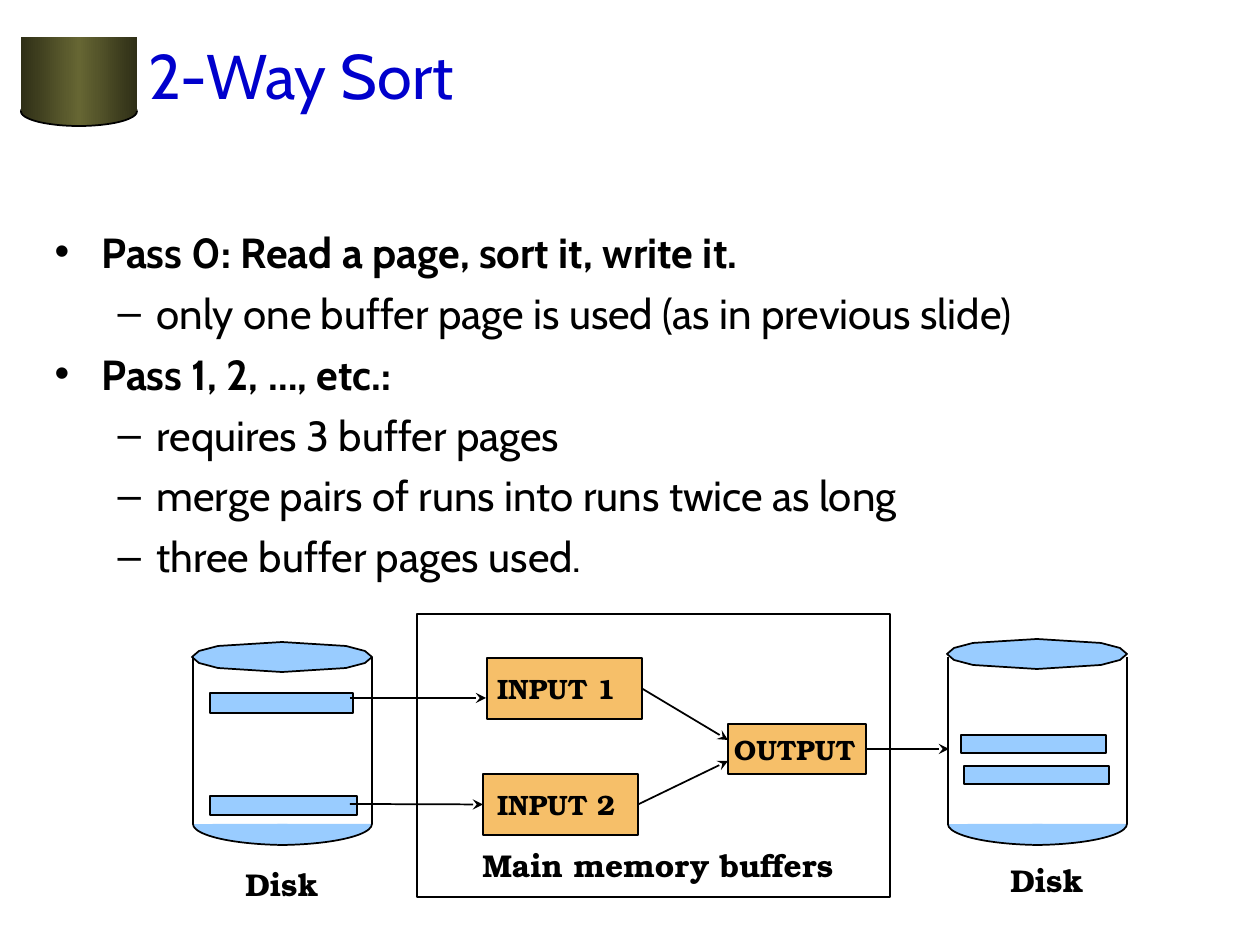
from copy import deepcopy
from dataclasses import dataclass

from pptx import Presentation
from pptx.dml.color import RGBColor
from pptx.enum.shapes import MSO_CONNECTOR, MSO_SHAPE
from pptx.enum.text import MSO_ANCHOR, MSO_AUTO_SIZE, PP_ALIGN
from pptx.oxml.ns import qn
from pptx.util import Emu, Pt

SCALE = 914400 / 126  # EMU per px


@dataclass(frozen=True)
class Theme:
    black = RGBColor(0x00, 0x00, 0x00)
    title = RGBColor(0x00, 0x00, 0xCC)
    disk = RGBColor(0x99, 0xCC, 0xFF)
    buffer = RGBColor(0xF6, 0xBF, 0x69)
    olive = RGBColor(0x66, 0x66, 0x33)
    dark_olive = RGBColor(0x2F, 0x2F, 0x17)
    line = Pt(1)
    title_font = dict(name="Cabin", size=Pt(36), bold=False)
    body_font = dict(name="Cabin", size=Pt(24))
    buffer_font = dict(name="TeX Gyre Bonum", size=Pt(16), bold=True)
    caption_font = dict(name="TeX Gyre Bonum", size=Pt(18), bold=True)


def px(*lengths):
    return [Emu(round(length * SCALE)) for length in lengths]


def outline(shape, fill=None):
    """Give a shape a thin black line and a solid fill, or none."""
    shape.shadow.inherit = False
    shape.line.color.rgb = theme.black
    shape.line.width = theme.line
    if fill is None:
        shape.fill.background()
    else:
        shape.fill.solid()
        shape.fill.fore_color.rgb = fill


theme = Theme()
prs = Presentation()
prs.slide_width, prs.slide_height = px(1260, 945)
slide = prs.slides.add_slide(prs.slide_layouts[1])
shapes = slide.shapes
title, body = slide.placeholders

# Corner drum
for preset, place in [(MSO_SHAPE.OVAL, (21, 97, 116, 29)),
                      (MSO_SHAPE.RECTANGLE, (21, 37, 116, 74))]:
    drum = shapes.add_shape(preset, *px(*place))
    outline(drum)
    drum.fill.gradient()
    drum.fill.gradient_angle = 0
    stop_list = drum._element.spPr.find(qn("a:gradFill")).find(qn("a:gsLst"))
    stop_list.append(deepcopy(stop_list[0]))
    shades = [(0, theme.dark_olive), (0.5, theme.olive), (1, theme.dark_olive)]
    for stop, (position, shade) in zip(drum.fill.gradient_stops, shades):
        stop.position = position
        stop.color.rgb = shade
drum.line.fill.background()

# Title and list
for holder, place, anchor in [(title, (136, 32, 1071, 84), MSO_ANCHOR.MIDDLE),
                              (body, (42, 220, 1207, 714), MSO_ANCHOR.TOP)]:
    holder.left, holder.top, holder.width, holder.height = px(*place)
    holder.text_frame.vertical_anchor = anchor
    holder.text_frame.auto_size = MSO_AUTO_SIZE.NONE

title.text_frame.text = "2-Way Sort"
heading = title.text_frame.paragraphs[0]
heading.alignment = PP_ALIGN.LEFT
heading.font.color.rgb = theme.title
for name, value in theme.title_font.items():
    setattr(heading.font, name, value)

steps = [
    (0, "Pass 0: Read a page, sort it, write it."),
    (1, "only one buffer page is used (as in previous slide)"),
    (0, "Pass 1, 2, …, etc.:"),
    (1, "requires 3 buffer pages"),
    (1, "merge pairs of runs into runs twice as long"),
    (1, "three buffer pages used."),
]
indents = [(47, -47), (102, -39)]
body.text_frame.text = "\n".join(words for _, words in steps)
for row, (item, (level, _)) in enumerate(zip(body.text_frame.paragraphs, steps)):
    item.level = level
    item.space_before = Pt(6 if row else 0)
    for name, value in zip(("marL", "indent"), px(*indents[level])):
        item._p.get_or_add_pPr().set(name, str(value))
    item.font.bold = level == 0
    item.font.color.rgb = theme.black
    for name, value in theme.body_font.items():
        setattr(item.font, name, value)

# Disks: rim, rounded base, stored pages
quarter = [(90, 0), (83, 6), (64, 11), (0, 15)]
half = quarter + [(-x, y) for x, y in quarter[-2::-1]]
rim = half + [(x, -y) for x, y in half[-2:0:-1]]
disks = [
    (282, 657, [(210, 693, 143, 20), (210, 796, 147, 19)]),
    (1037, 654, [(961, 735, 145, 18), (964, 766, 145, 18)]),
]
lines = []
for center, rim_y, pages in disks:
    points = [(center + x, rim_y + y) for x, y in rim]
    builder = shapes.build_freeform(*points[0], scale=SCALE)
    builder.add_line_segments(points[1:], close=True)
    outline(builder.convert_to_shape(), theme.disk)
    left, right = center - 89, center + 90
    for base_left, start, end in [(left, 90, 180), (right - 189, 0, 90)]:
        base = shapes.add_shape(MSO_SHAPE.ARC, *px(base_left, 803, 189, 42))
        # Angles are in 1/60000 degree, adjustments in 1/100000
        base.adjustments[0] = start * 0.6
        base.adjustments[1] = end * 0.6
        outline(base, theme.disk)
    for page in pages:
        outline(shapes.add_shape(MSO_SHAPE.RECTANGLE, *px(*page)), theme.disk)
    lines += [((x, 657, x, 824), False, None, None) for x in (left, right)]

# Main memory and its buffers
outline(shapes.add_shape(MSO_SHAPE.RECTANGLE, *px(417, 614, 473, 283)))
buffers = {}
for label, place, inset in [("INPUT 1", (487, 658, 155, 61), 10),
                            ("INPUT 2", (483, 774, 155, 61), 14),
                            ("OUTPUT", (728, 724, 138, 50), 6)]:
    buffer = buffers[label] = shapes.add_shape(MSO_SHAPE.RECTANGLE, *px(*place))
    outline(buffer, theme.buffer)
    frame = buffer.text_frame
    frame.margin_left, frame.margin_right = px(inset, 0)
    frame.vertical_anchor = MSO_ANCHOR.MIDDLE
    frame.text = label
    words = frame.paragraphs[0]
    words.alignment = PP_ALIGN.LEFT
    words.font.color.rgb = theme.black
    for name, value in theme.buffer_font.items():
        setattr(words.font, name, value)

for caption, place, wrap in [("Main memory buffers", (470, 840, 412, 50), True),
                             ("Disk", (233, 859, 98, 50), False),
                             ("Disk", (998, 855, 98, 50), False)]:
    frame = shapes.add_textbox(*px(*place)).text_frame
    frame.word_wrap = wrap
    frame.text = caption
    words = frame.paragraphs[0]
    words.font.color.rgb = theme.black
    for name, value in theme.caption_font.items():
        setattr(words.font, name, value)

# Disk walls and data flow: ends, arrowhead, buffer left, buffer reached
lines += [
    ((350, 698, 486, 698), True, None, None),
    ((350, 804, 483, 804), True, None, "INPUT 2"),
    ((642, 688, 728, 740), True, "INPUT 1", None),
    ((638, 804, 728, 761), True, "INPUT 2", None),
    ((866, 749, 949, 749), True, "OUTPUT", None),
]
for ends, arrow, source, target in lines:
    line = shapes.add_connector(MSO_CONNECTOR.STRAIGHT, *px(*ends))
    line.line.color.rgb = theme.black
    line.line.width = theme.line
    if source:
        line.begin_connect(buffers[source], 3)
    if target:
        line.end_connect(buffers[target], 1)
    if arrow:
        stroke = line.line._get_or_add_ln()
        stroke.append(stroke.makeelement(qn("a:tailEnd"), {"type": "stealth"}))
    properties = line._element.spPr
    properties.append(properties.makeelement(qn("a:effectLst"), {}))

prs.save("out.pptx")
